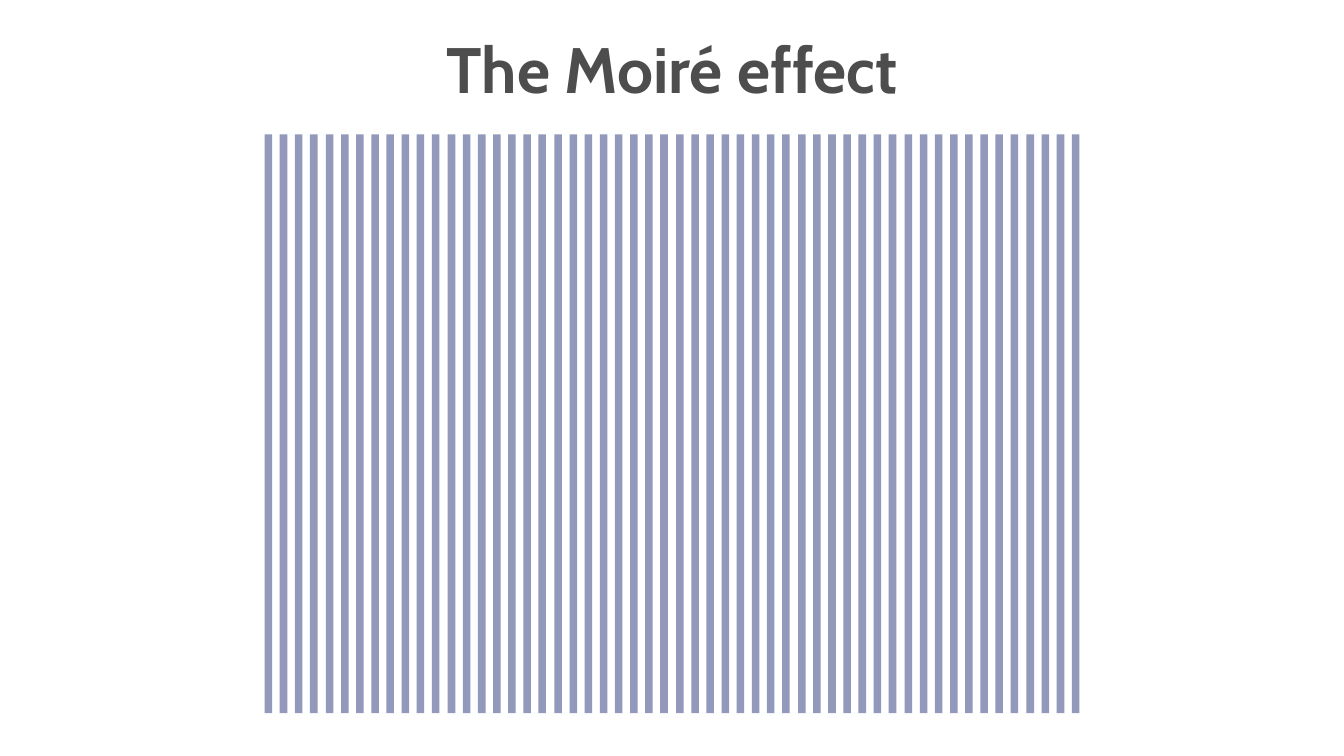
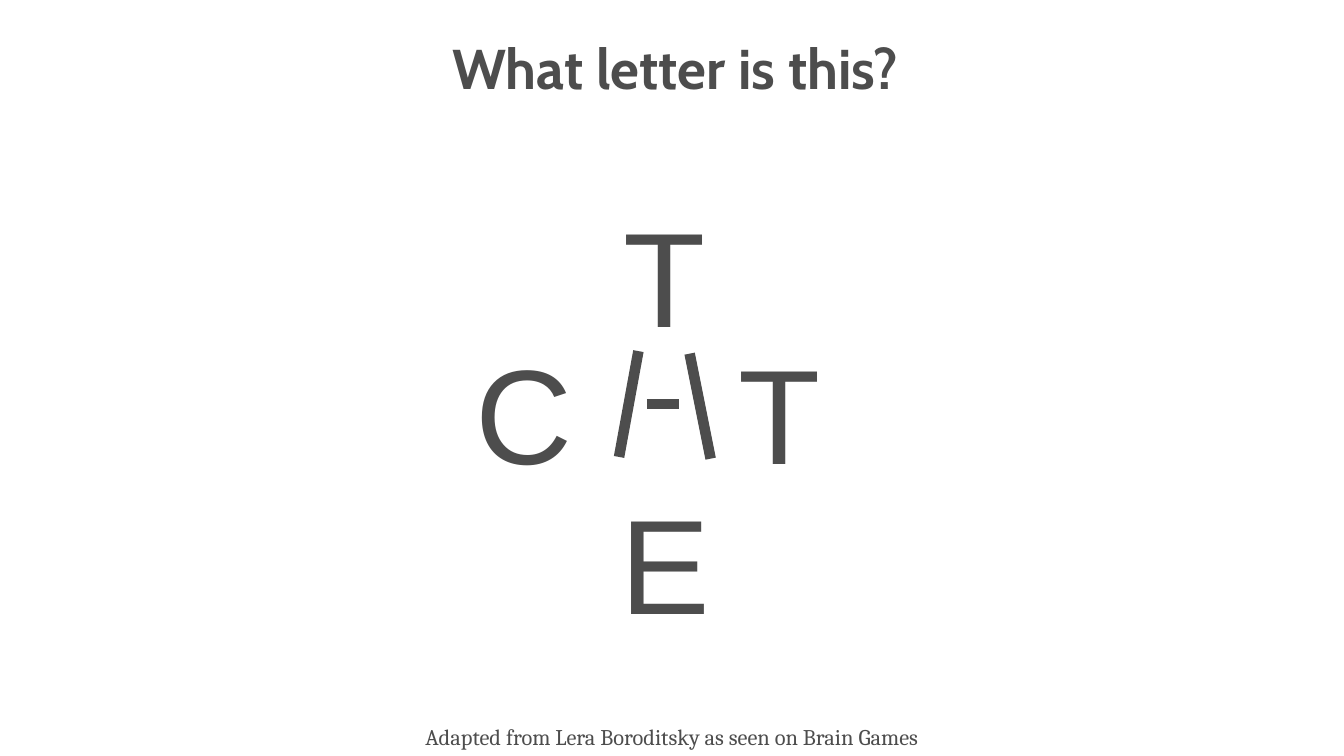
from dataclasses import dataclass

import pptx
import pptx.dml.color
import pptx.enum.shapes
import pptx.enum.text
import pptx.oxml.ns
import pptx.presentation
import pptx.shapes.group
import pptx.slide
import pptx.text.text
import pptx.util
from lxml import etree

PX = pptx.util.Inches(0.01)
SLIDE_WIDTH, SLIDE_HEIGHT = 1600, 900

INK = pptx.dml.color.RGBColor(0x4D, 0x4D, 0x4D)
STRIPE = pptx.dml.color.RGBColor(0x92, 0x99, 0xBA)
WHITE = pptx.dml.color.RGBColor(0xFF, 0xFF, 0xFF)

TITLE_ONLY = 5
STRIPE_COUNT = 54
FIRST_STRIPE, LAST_STRIPE = 315, 1276
LETTER_WIDTH, LETTER_HEIGHT, LETTER_INSET = 147, 204, 19


@dataclass(frozen=True)
class Box:
    left: int
    top: int
    width: int
    height: int

    def emu(self) -> tuple[int, int, int, int]:
        return self.left * PX, self.top * PX, self.width * PX, self.height * PX


@dataclass(frozen=True)
class TextStyle:
    font: str
    size: float
    bold: bool = False


@dataclass(frozen=True)
class Letter:
    text: str
    left: int
    top: int


@dataclass(frozen=True)
class Stroke:
    x1: int
    y1: int
    x2: int
    y2: int


LETTER_STYLE = TextStyle("Arial", 115.2)
CREDIT_STYLE = TextStyle("Cambria", 19.2)

LETTERS = (
    Letter("T", 718, 211),
    Letter("E", 718, 553),
    Letter("C", 550, 374),
    Letter("T", 854, 374),
)
AMBIGUOUS_LETTER = (
    Stroke(760, 418, 737, 544),
    Stroke(821, 421, 846, 546),
    Stroke(770, 481, 808, 481),
)


def write_centred(frame: pptx.text.text.TextFrame, text: str, style: TextStyle) -> None:
    frame.word_wrap = True
    frame.auto_size = pptx.enum.text.MSO_AUTO_SIZE.NONE
    frame.vertical_anchor = pptx.enum.text.MSO_ANCHOR.TOP
    paragraph = frame.paragraphs[0]
    paragraph.alignment = pptx.enum.text.PP_ALIGN.CENTER
    run = paragraph.add_run()
    run.text = text
    run.font.name = style.font
    run.font.size = pptx.util.Pt(style.size)
    run.font.bold = style.bold
    run.font.color.rgb = INK


def add_titled_slide(
    deck: pptx.presentation.Presentation, title: str, box: Box, size: float
) -> pptx.slide.Slide:
    slide = deck.slides.add_slide(deck.slide_layouts[TITLE_ONLY])
    heading = slide.shapes.title
    heading.left, heading.top, heading.width, heading.height = box.emu()
    write_centred(heading.text_frame, title, TextStyle("Cabin", size, bold=True))
    return slide


def add_stripe(grating: pptx.shapes.group.GroupShape, left: int) -> None:
    stripe = grating.shapes.add_shape(
        pptx.enum.shapes.MSO_SHAPE.RECTANGLE, *Box(left, 160, 9, 689).emu()
    )
    stripe.shadow.inherit = False
    stripe.fill.solid()
    stripe.fill.fore_color.rgb = STRIPE
    stripe.line.fill.background()


def add_letter(cross: pptx.shapes.group.GroupShape, letter: Letter) -> None:
    box = Box(letter.left, letter.top, LETTER_WIDTH, LETTER_HEIGHT)
    frame = cross.shapes.add_textbox(*box.emu()).text_frame
    frame.margin_left = frame.margin_right = frame.margin_bottom = 0
    frame.margin_top = LETTER_INSET * PX
    write_centred(frame, letter.text, LETTER_STYLE)


def add_stroke(slide: pptx.slide.Slide, stroke: Stroke) -> None:
    line = slide.shapes.add_connector(
        pptx.enum.shapes.MSO_CONNECTOR.STRAIGHT,
        stroke.x1 * PX, stroke.y1 * PX, stroke.x2 * PX, stroke.y2 * PX,
    )
    line.line.color.rgb = INK
    line.line.width = pptx.util.Pt(9)
    properties = line._element.find(pptx.oxml.ns.qn("p:spPr"))
    etree.SubElement(properties, pptx.oxml.ns.qn("a:effectLst"))


def build_moire_slide(deck: pptx.presentation.Presentation) -> None:
    slide = add_titled_slide(deck, "The Moiré effect", Box(200, 30, 1200, 103), 55)
    grating = slide.shapes.add_group_shape()
    pitch = (LAST_STRIPE - FIRST_STRIPE) / (STRIPE_COUNT - 1)
    for index in range(STRIPE_COUNT):
        add_stripe(grating, round(FIRST_STRIPE + index * pitch))


def build_letter_slide(deck: pptx.presentation.Presentation) -> None:
    slide = add_titled_slide(deck, "What letter is this?", Box(204, 35, 1200, 139), 48)
    cross = slide.shapes.add_group_shape()
    for letter in LETTERS:
        add_letter(cross, letter)
    for stroke in AMBIGUOUS_LETTER:
        add_stroke(slide, stroke)
    credit = slide.shapes.add_textbox(*Box(200, 856, 1200, 42).emu())
    write_centred(
        credit.text_frame,
        "Adapted from Lera Boroditsky as seen on Brain Games",
        CREDIT_STYLE,
    )


def main() -> None:
    deck = pptx.Presentation()
    deck.slide_width = SLIDE_WIDTH * PX
    deck.slide_height = SLIDE_HEIGHT * PX
    background = deck.slide_master.background.fill
    background.solid()
    background.fore_color.rgb = WHITE
    build_moire_slide(deck)
    build_letter_slide(deck)
    deck.save("out.pptx")


if __name__ == "__main__":
    main()
